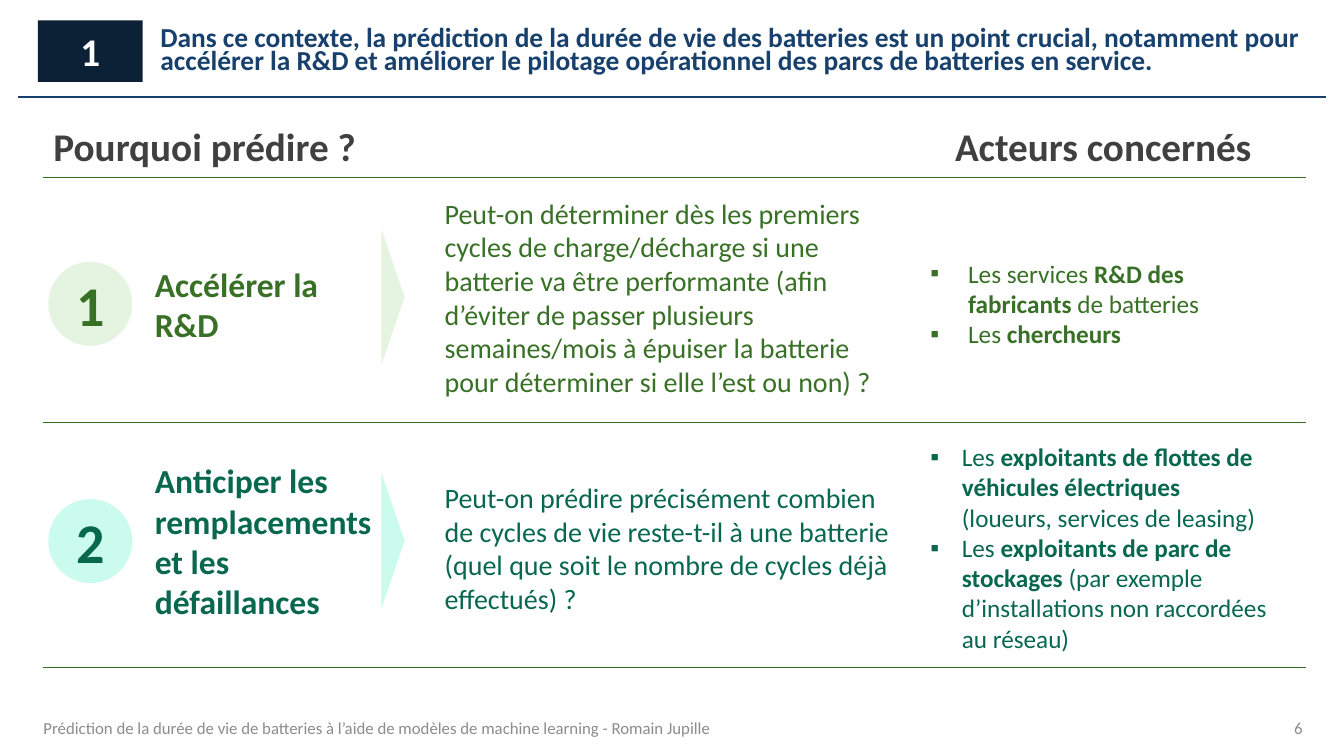
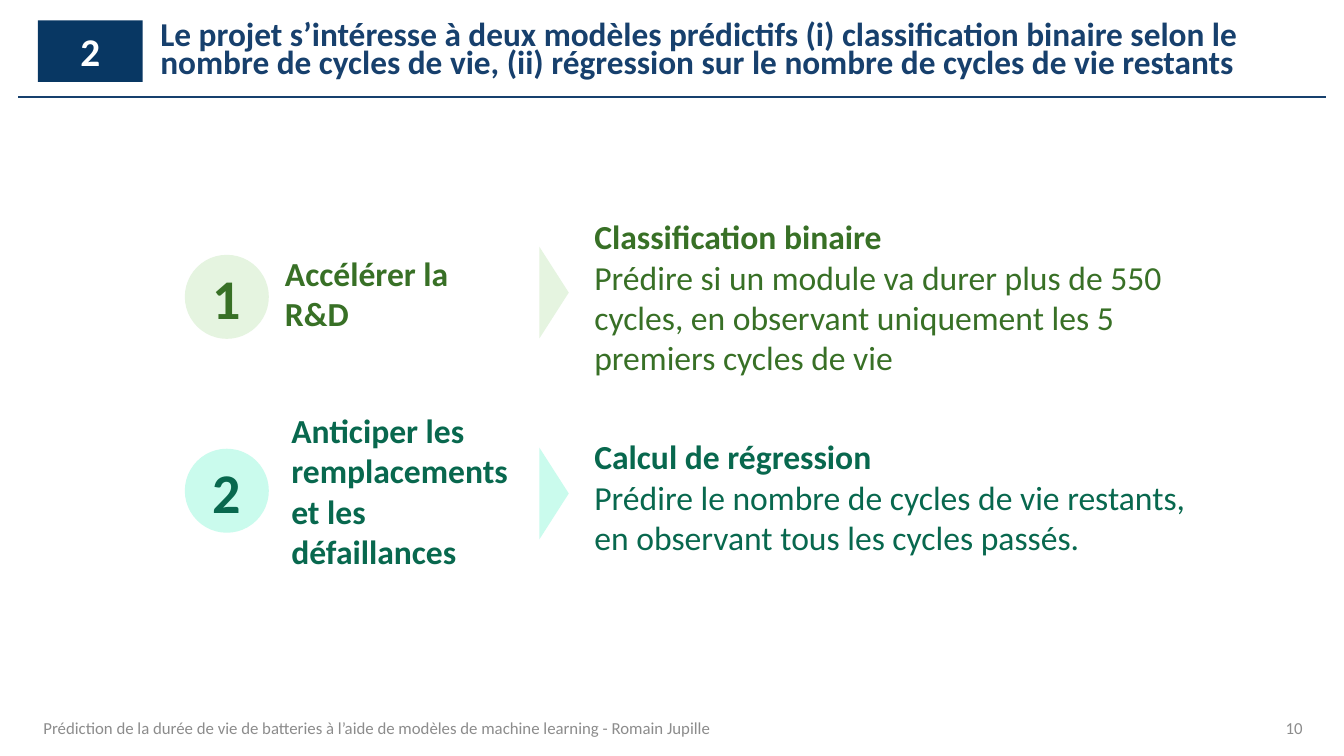
"""Build two slides on predicting battery life: why predict, and with which models."""
from lxml import etree
from pptx import Presentation
from pptx.dml.color import RGBColor
from pptx.enum import shapes as es, text as et
from pptx.oxml import ns
from pptx.util import Pt

NAVY = RGBColor(0x17, 0x40, 0x6D)
DARK = RGBColor(0x0C, 0x20, 0x36)
BLUE = RGBColor(0x08, 0x37, 0x63)
WHITE = RGBColor(0xFF, 0xFF, 0xFF)
GREY = RGBColor(0x8C, 0x8C, 0x8C)
COAL = RGBColor(0x40, 0x40, 0x40)
GREEN = RGBColor(0x38, 0x70, 0x26)
TEAL = RGBColor(0x08, 0x68, 0x4E)
LIME = RGBColor(0xE5, 0xF4, 0xE0)
MINT = RGBColor(0xCA, 0xFB, 0xED)

FONT = "Calibri"
LEFT, MID, RIGHT = et.PP_ALIGN.LEFT, et.PP_ALIGN.CENTER, et.PP_ALIGN.RIGHT
RECT = es.MSO_SHAPE.RECTANGLE
DISC = es.MSO_SHAPE.OVAL
ARROW = es.MSO_SHAPE.ISOSCELES_TRIANGLE


def write(slide, box, lines, size, ink, align=LEFT, pad=7.2):
    """Add a text box with one paragraph per line; words between stars are bold."""
    area = slide.shapes.add_textbox(*map(Pt, box))
    frame = area.text_frame
    frame.word_wrap = True
    frame.margin_left = Pt(pad)
    frame.vertical_anchor = et.MSO_ANCHOR.MIDDLE
    for i, line in enumerate(lines):
        para = frame.add_paragraph() if i else frame.paragraphs[0]
        para.alignment = align
        for j, part in enumerate(line.split("*")):
            if part:
                run = para.add_run()
                run.text = part
                run.font.name, run.font.size = FONT, Pt(size)
                run.font.bold = j % 2 == 1
                run.font.color.rgb = ink
    return frame


def draw(slide, kind, box, fill, label="", size=12, ink=WHITE):
    """Add a plain filled shape with an optional bold centred label."""
    form = slide.shapes.add_shape(kind, *map(Pt, box))
    form.shadow.inherit = False
    form.fill.solid()
    form.fill.fore_color.rgb = fill
    form.line.fill.background()
    if label:
        frame = form.text_frame
        frame.text = label
        frame.vertical_anchor = et.MSO_ANCHOR.MIDDLE
        para = frame.paragraphs[0]
        para.alignment = MID
        font = para.runs[0].font
        font.name, font.size, font.bold = FONT, Pt(size), True
        font.color.rgb = ink
    return form


deck = Presentation()
deck.slide_width, deck.slide_height = Pt(960), Pt(540)

FOOT = ("Prédiction de la durée de vie de batteries à l’aide de modèles "
        "de machine learning - Romain Jupille")
HEADS = [
    ("1", DARK, "6", 19.6,
     "Dans ce contexte, la prédiction de la durée de vie des batteries est un point "
     "crucial, notamment pour accélérer la R&D et améliorer le pilotage opérationnel "
     "des parcs de batteries en service."),
    ("2", BLUE, "10", 23.8,
     "Le projet s’intéresse à deux modèles prédictifs (i) classification binaire selon le "
     "nombre de cycles de vie, (ii) régression sur le nombre de cycles de vie restants"),
]

pages = []
for mark, fill, page, size, title in HEADS:
    slide = deck.slides.add_slide(deck.slide_layouts[6])
    pages.append(slide)
    rule = slide.shapes.add_connector(
        es.MSO_CONNECTOR.STRAIGHT, Pt(13), Pt(69), Pt(947), Pt(69))
    rule.line.color.rgb, rule.line.width = NAVY, Pt(1.5)
    etree.SubElement(rule._element.spPr, ns.qn("a:effectLst"))
    head = write(slide, (107.5, 10.5, 837.5, 54), ["*" + title], size, NAVY)
    head.paragraphs[0].line_spacing = 0.7
    head.paragraphs[0].space_before = Pt(10)
    draw(slide, RECT, (27, 14.5, 75, 44), fill, mark, 28)
    write(slide, (31, 505.5, 799, 29), [FOOT], 12, GREY, pad=0)
    write(slide, (893, 505.5, 44.5, 29), [page], 12, GREY, RIGHT)
why, how = pages

grid = why.shapes.add_table(3, 3, Pt(31), Pt(85), Pt(901.5), Pt(391.5)).table
grid.first_row = grid.horz_banding = False
for col, width in zip(grid.columns, (238.5, 405.5, 257.5)):
    col.width = Pt(width)
for row, height in zip(grid.rows, (41.5, 175, 175)):
    row.height = Pt(height)
for i, name in ((0, "Pourquoi prédire ?"), (2, "Acteurs concernés")):
    cell = grid.cell(0, i)
    cell.text = name
    cell.vertical_anchor = et.MSO_ANCHOR.MIDDLE
    font = cell.text_frame.paragraphs[0].runs[0].font
    font.name, font.size, font.bold = FONT, Pt(28), True
    font.color.rgb = COAL
for i in range(3):
    for cell in grid.rows[i].cells:
        cell.fill.background()
        props = cell._tc.get_or_add_tcPr()
        for k, side in enumerate(("lnT", "lnB") if i else ("lnB",)):
            edge = etree.Element(ns.qn("a:" + side), w=str(Pt(0.75)))
            paint = etree.SubElement(edge, ns.qn("a:solidFill"))
            etree.SubElement(paint, ns.qn("a:srgbClr"), val=str(GREEN))
            props.insert(k, edge)
    if i:
        grid.cell(i, 0).merge(grid.cell(i, 2))

FAST = "*Accélérer la R&D"
PLAN = "*Anticiper les remplacements et les défaillances"
STEPS = [
    (why, "1", GREEN, LIME, (34.5, 187), (232.5, 204, 96.5, 16.5),
     FAST, (103.5, 184.5, 152.5, 65.5), (310.5, 136, 339, 152.5), 20,
     ["Peut-on déterminer dès les premiers cycles de charge/décharge si une batterie va "
      "être performante (afin d’éviter de passer plusieurs semaines/mois à épuiser la "
      "batterie pour déterminer si elle l’est ou non) ?"]),
    (why, "2", TEAL, MINT, (34.5, 356.5), (232.5, 378, 96.5, 16.5),
     PLAN, (103.5, 339, 174, 94.5), (310.5, 339, 339, 104.5), 20,
     ["Peut-on prédire précisément combien de cycles de vie reste-t-il à une batterie "
      "(quel que soit le nombre de cycles déjà effectués) ?"]),
    (how, "1", GREEN, LIME, (132, 182), (363, 198.5, 65.5, 21),
     FAST, (196.5, 176.5, 152.5, 65.5), (417.5, 150, 456.5, 124), 24,
     ["*Classification binaire",
      "Prédire si un module va durer plus de 550 cycles, en observant uniquement "
      "les 5 premiers cycles de vie"]),
    (how, "2", TEAL, MINT, (132, 320.5), (363, 342, 65.5, 21),
     PLAN, (201, 288.5, 174, 124), (417.5, 307.5, 456.5, 94.5), 24,
     ["*Calcul de régression",
      "Prédire le nombre de cycles de vie restants, en observant tous les cycles passés."]),
]
for slide, mark, ink, tint, spot, tip, goal, near, far, size, lines in STEPS:
    draw(slide, DISC, (*spot, 60, 60), tint, mark, 40, ink)
    write(slide, near, [goal], 24, ink)
    draw(slide, ARROW, tip, tint).rotation = 90
    write(slide, far, lines, size, ink)

ACTORS = [
    ((657.5, 180.5, 268, 72.5), GREEN, 27,
     ["Les services *R&D des fabricants *de batteries", "Les *chercheurs"]),
    ((657.5, 311, 258, 160), TEAL, 22.5,
     ["Les *exploitants de flottes de véhicules électriques *(loueurs, services de leasing)",
      "Les *exploitants de parc de stockages* (par exemple d’installations non "
      "raccordées au réseau)"]),
]
for box, ink, dent, lines in ACTORS:
    for para in write(why, box, lines, 18, ink).paragraphs:
        props = para._p.get_or_add_pPr()
        props.set("marL", str(Pt(dent)))
        props.set("indent", str(-Pt(dent)))
        etree.SubElement(props, ns.qn("a:buFont"), typeface="Arial")
        etree.SubElement(props, ns.qn("a:buChar"), char="▪")

deck.save("out.pptx")
